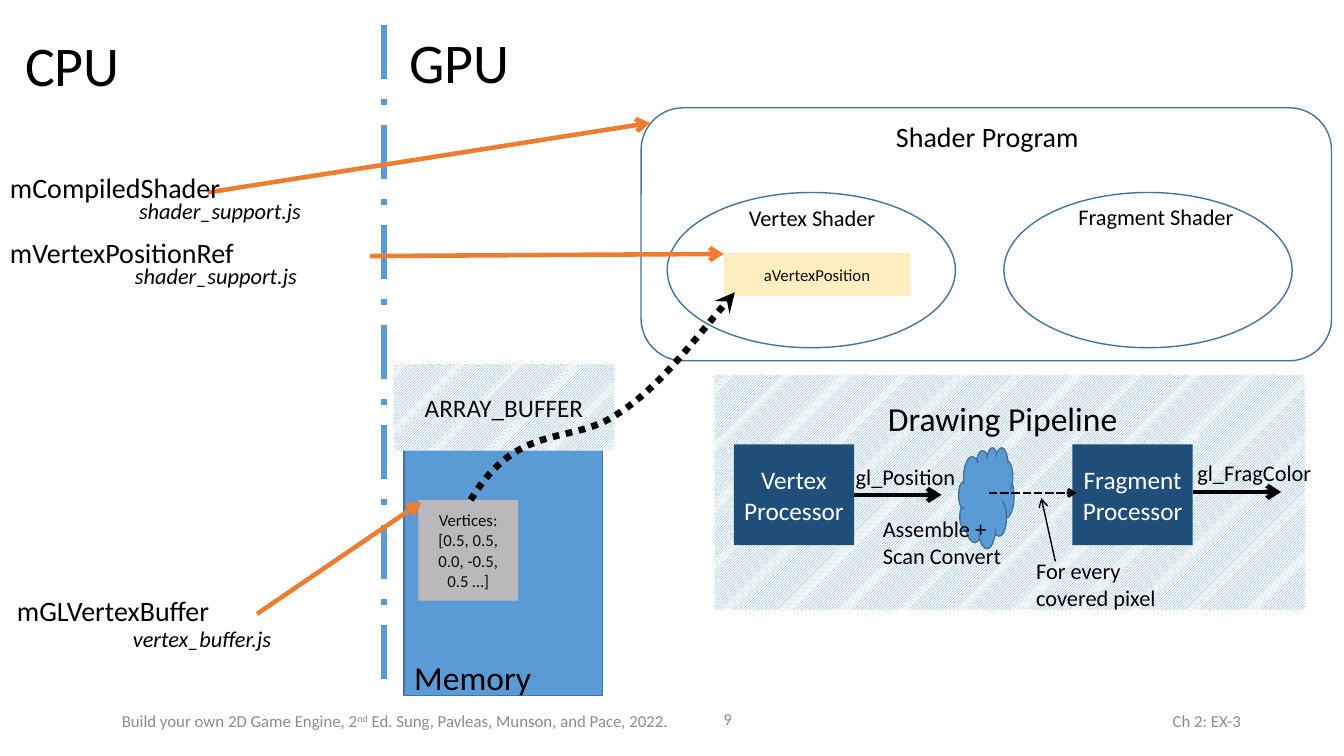
from pptx import Presentation
from pptx.dml.color import RGBColor
from pptx.enum.dml import MSO_LINE as Dash, MSO_PATTERN as Pattern
from pptx.enum.shapes import MSO_CONNECTOR as Connector, MSO_SHAPE as Shape
from pptx.enum.text import MSO_ANCHOR as Anchor, MSO_AUTO_SIZE as AutoSize, PP_ALIGN as Align
from pptx.oxml.ns import qn
from pptx.util import Pt
from lxml.etree import SubElement

COLORS = {
    "blue": "5B9BD5", "outline": "43739E", "navy": "1F4E79", "orange": "ED7D31",
    "peach": "F8CBAD", "cream": "FFE699", "white": "FFFFFF", "black": "000000",
    "ink": "0D0D0D", "gray": "8C8C8C",
}


def rgb(name):
    return RGBColor.from_string(COLORS[name])


def write(frame, text, size=16, color="black", align=Align.LEFT, anchor=Anchor.TOP,
          italic=False):
    """Newlines part paragraphs; ^marks^ enclose superscript."""
    frame.word_wrap = True
    frame.vertical_anchor = anchor
    for number, line in enumerate(text.split("\n")):
        paragraph = frame.add_paragraph() if number else frame.paragraphs[0]
        paragraph.alignment = align
        for part, words in enumerate(line.split("^")):
            run = paragraph.add_run()
            run.text = words
            run.font.name = "Calibri"
            run.font.size = Pt(size)
            run.font.italic = italic
            run.font.color.rgb = rgb(color)
            if part % 2:
                run.font._element.set("baseline", "30000")


class Diagram:
    def __init__(self, slide):
        self.shapes = slide.shapes

    def stroke(self, line, color, width, dash=None, head=None):
        line.color.rgb = rgb(color)
        line.width = Pt(width)
        if dash:
            line.dash_style = dash
        if head:
            SubElement(line._get_or_add_ln(), qn("a:tailEnd"), type=head)

    def label(self, text, x, y, width=190, height=26.6, grow=True, **text_format):
        box = self.shapes.add_textbox(Pt(x), Pt(y), Pt(width), Pt(height))
        write(box.text_frame, text, **text_format)
        box.text_frame.auto_size = AutoSize.SHAPE_TO_FIT_TEXT if grow else AutoSize.NONE

    def block(self, x, y, width, height, kind=Shape.RECTANGLE, fill=None, alpha=None,
              hatched=False, outlined=False, text=None, **text_format):
        shape = self.shapes.add_shape(kind, Pt(x), Pt(y), Pt(width), Pt(height))
        shape.shadow.inherit = False
        if hatched:
            shape.fill.patterned()
            shape.fill.pattern = Pattern.DARK_UPWARD_DIAGONAL
            shape.fill.fore_color.rgb = rgb("blue")
            shape.fill.back_color.rgb = rgb("white")
        elif fill:
            shape.fill.solid()
            shape.fill.fore_color.rgb = rgb(fill)
        else:
            shape.fill.background()
        if alpha:
            shade = next(shape.element.spPr.iter(qn("a:srgbClr")))
            SubElement(shade, qn("a:alpha"), val=str(alpha * 1000))
        if outlined:
            self.stroke(shape.line, "outline", 1)
        else:
            shape.line.fill.background()
        if text:
            write(shape.text_frame, text, align=Align.CENTER, anchor=Anchor.MIDDLE,
                  **text_format)
        return shape

    def line(self, start, end, color="black", width=3.25, dash=None, head="arrow",
             source=None):
        link = self.shapes.add_connector(Connector.STRAIGHT, *map(Pt, start + end))
        if source:
            link.begin_connect(source, 3)
        self.stroke(link.line, color, width, dash, head)
        SubElement(link._element.spPr, qn("a:effectLst"))

    def curve(self, start, controls, color, width, dash, head):
        """Draw cubic Bézier pieces, three control points to each."""
        builder = self.shapes.build_freeform(Pt(start[0]), Pt(start[1]))
        builder.add_line_segments([(Pt(x), Pt(y)) for x, y in controls], close=False)
        shape = builder.convert_to_shape()
        shape.shadow.inherit = False
        shape.fill.background()
        self.stroke(shape.line, color, width, dash, head)
        steps = list(shape.element.iter(qn("a:lnTo")))
        for first, second, third in zip(steps[::3], steps[1::3], steps[2::3]):
            first.tag = qn("a:cubicBezTo")
            for step in (second, third):
                first.append(step[0])
                step.getparent().remove(step)


def main():
    deck = Presentation()
    deck.slide_width, deck.slide_height = Pt(960), Pt(540)
    diagram = Diagram(deck.slides.add_slide(deck.slide_layouts[6]))

    # Footer
    footer = dict(height=28.8, grow=False, size=12, color="gray", anchor=Anchor.MIDDLE)
    diagram.label("Ch 2: EX-3", 547.2, 500.4, 346.3, align=Align.RIGHT, **footer)
    diagram.label("Build your own 2D Game Engine, 2^nd^ Ed. Sung, Pavleas, Munson, and Pace, 2022.",
                  79.9, 500.4, 413.3, **footer)
    diagram.label("9", 444.2, 499, 85.7, align=Align.RIGHT, **footer)

    # GPU memory
    diagram.block(288.7, 317.5, 141.8, 179.3, fill="blue", outlined=True)
    diagram.label("Memory", 288.7, 465.8, height=36, size=24)
    diagram.block(298.8, 357.1, 71.3, 72, fill="peach", alpha=61, size=12, color="ink",
                  text="Vertices: [0.5, 0.5, 0.0, -0.5, 0.5 …]")
    diagram.block(281.5, 259.9, 157, 62, hatched=True, text="ARRAY_BUFFER", size=18,
                  color="ink")

    # CPU and GPU sides
    diagram.line((274.3, 18), (274.3, 485.5), "blue", 4.75, Dash.LONG_DASH_DOT, None)
    diagram.label("CPU", 10.8, 18, height=55.4, size=40)
    diagram.label("GPU", 285.1, 15.8, height=55.4, size=40)
    diagram.line((183.6, 438.5), (301, 358.6), "orange")

    # Drawing pipeline
    diagram.block(510.5, 267.8, 421.9, 167.8, hatched=True)
    diagram.label("Drawing Pipeline", 627.1, 280.8, height=36, size=24)
    vertex_processor, _ = [
        diagram.block(x, 317.5, 85.9, 72, fill="navy", text=f"{stage} Processor", size=18,
                      color="white")
        for stage, x in (("Vertex", 524.2), ("Fragment", 766.1))]
    diagram.label("gl_Position", 604.1, 327.6)
    diagram.label("gl_FragColor", 848.2, 324.7, 97.9)
    diagram.line((610.1, 353.5), (672.5, 353.5), source=vertex_processor)
    diagram.line((852.5, 351.4), (915.1, 351.4))
    diagram.block(684.7, 319.7, 39.6, 72, Shape.CLOUD, fill="blue", outlined=True)
    diagram.line((706.3, 352.1), (769, 352.1), width=2, dash=Dash.SQUARE_DOT)
    diagram.label("Assemble +\nScan Convert", 623.5, 364.3, height=46)
    diagram.label("For every\ncovered pixel", 733, 394.6, height=46)
    diagram.line((753.8, 401), (743.8, 355.7), width=1)

    # Shader program
    diagram.label("Vertex Shader", 527.8, 142.6, 113.8)
    diagram.label("Fragment Shader", 763.2, 141.8, 133.2)
    for x in (476.6, 717.1):
        diagram.block(x, 137.5, 205.9, 110.9, Shape.OVAL, outlined=True)
    diagram.block(517, 180.7, 133.2, 31, fill="cream", alpha=61, text="aVertexPosition",
                  size=12, color="ink")
    diagram.block(457.9, 77, 493.2, 180.7, Shape.ROUNDED_RECTANGLE, outlined=True)
    diagram.label("Shader Program", 632.9, 82.1, 180.7, 31.5, size=20)

    # References from CPU to GPU
    diagram.line((148.3, 137.5), (464.4, 87.8), "orange")
    diagram.line((264.2, 182.9), (517, 181.4), "orange")
    diagram.curve((336.2, 357.1),
                  [(368.6, 303.8), (402.5, 316.8), (434.9, 299.5),
                   (466.6, 281.5), (494.6, 244.1), (524.9, 208.8)],
                  "black", 4.75, Dash.ROUND_DOT, "stealth")

    # CPU variables and their source files
    for variable, x, y, width, file, file_x, file_y in (
            ("mVertexPositionRef", 0, 164.9, 279.4, "shader_support.js", 89.3, 183.6),
            ("mCompiledShader", 0, 118.1, 279.4, "shader_support.js", 92.2, 137.5),
            ("mGLVertexBuffer", 5, 420.5, 190, "vertex_buffer.js", 87.8, 442.8)):
        diagram.label(variable, x, y, width, 31.5, size=20)
        diagram.label(file, file_x, file_y, italic=True)

    deck.save("out.pptx")


if __name__ == "__main__":
    main()
